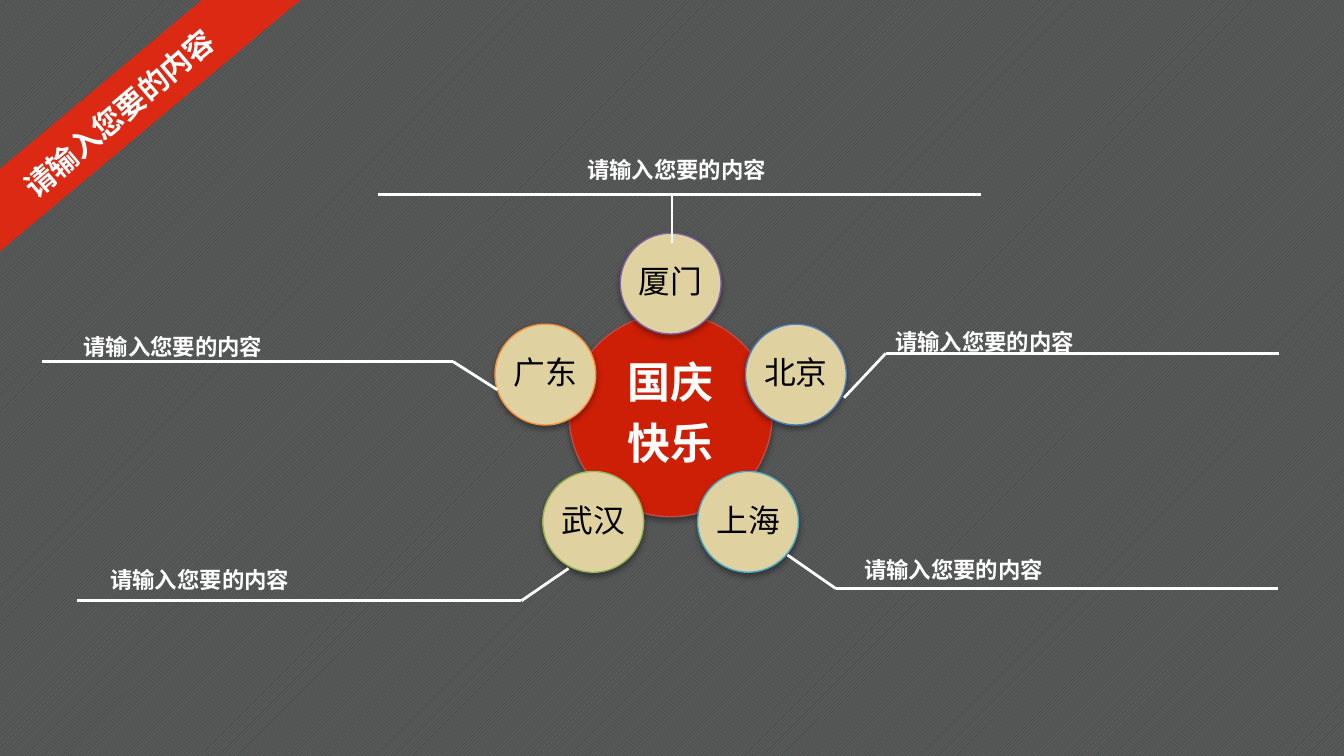
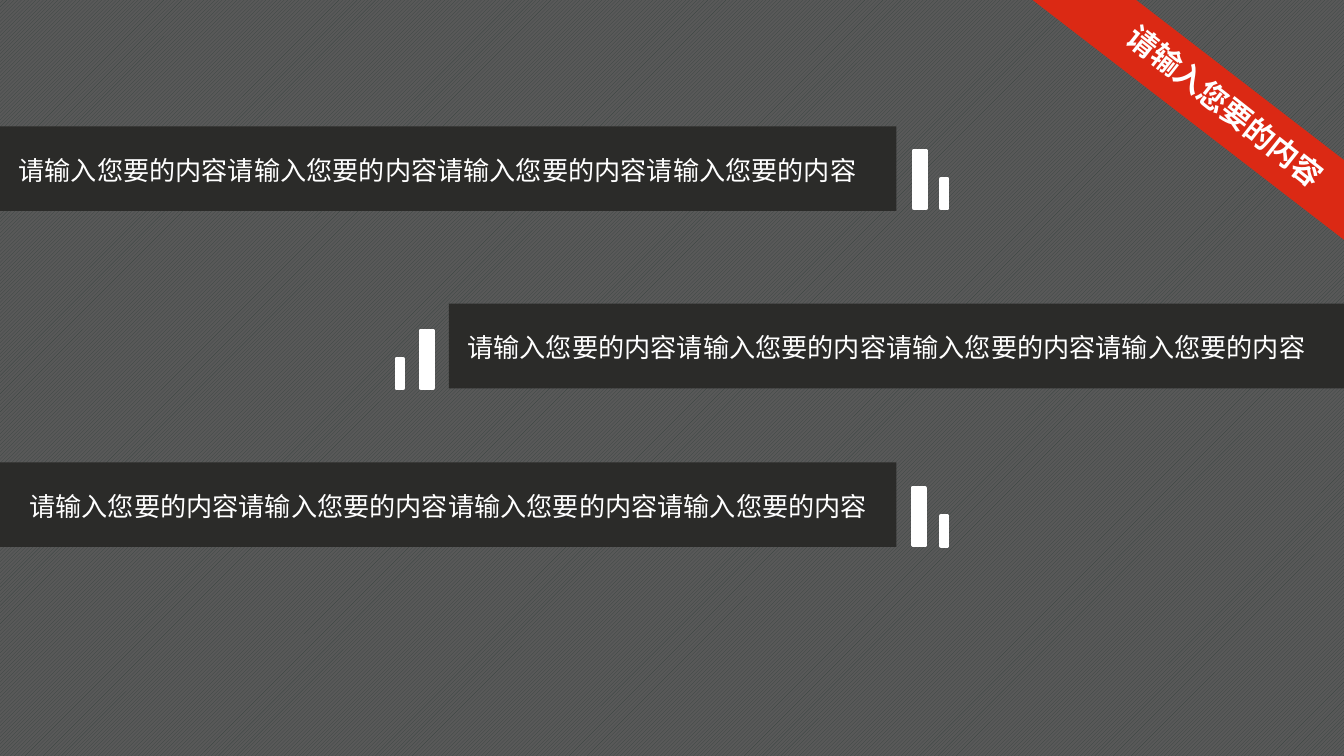
import math

from lxml import etree
from pptx import Presentation
from pptx.dml.color import RGBColor
from pptx.enum.dml import MSO_PATTERN
from pptx.enum.shapes import MSO_CONNECTOR, MSO_SHAPE
from pptx.enum.text import MSO_ANCHOR, MSO_AUTO_SIZE, PP_ALIGN
from pptx.oxml.ns import qn
from pptx.util import Inches, Pt

RECTANGLE, OVAL = MSO_SHAPE.RECTANGLE, MSO_SHAPE.OVAL
STRAIGHT = MSO_CONNECTOR.STRAIGHT
STRIPES = MSO_PATTERN.DARK_UPWARD_DIAGONAL
TOP, MIDDLE = MSO_ANCHOR.TOP, MSO_ANCHOR.MIDDLE
LEFT, CENTER = PP_ALIGN.LEFT, PP_ALIGN.CENTER
GROW = MSO_AUTO_SIZE.SHAPE_TO_FIT_TEXT

SLIDE_WIDTH = Inches(10)
SLIDE_HEIGHT = SLIDE_WIDTH * 9 // 16
FONT = "Noto Sans CJK SC"
COLORS = {
    "stripe": "384340",
    "background": "595959",
    "ribbon": "DB2914",
    "hub": "CD1F06",
    "hub line": "BF4C48",
    "city": "DFD2A0",
    "band": "2B2B29",
    "white": "FFFFFF",
    "black": "000000",
}
PROMPT = "请输入您要的内容"

HUB_CENTER = (4.99, 3.09)
HUB_SIZE, CITY_SIZE, ORBIT = 1.51, 0.75, 0.98
CITIES = [  # clockwise from the top, with outline colours
    ("厦门", "7D60A0"),
    ("北京", "4B7EBC"),
    ("上海", "46AAC5"),
    ("武汉", "98B955"),
    ("广东", "F69240"),
]
LEADERS = [
    [(4.23, 4.23), (3.88, 4.47), (0.57, 4.47)],
    [(2.81, 1.45), (7.3, 1.45)],
    [(6.28, 2.96), (6.59, 2.63), (9.52, 2.63)],
    [(5.86, 4.13), (6.22, 4.38), (9.51, 4.38)],
    [(3.7, 2.9), (3.37, 2.69), (0.31, 2.69)],
    [(5, 1.81), (5, 1.45)],
]
LABELS = [  # left, top, width
    (6.36, 4.04, 3.43),
    (0.55, 2.38, 3.1),
    (6.59, 2.34, 3.14),
    (0.75, 4.11, 3.1),
]

BAND_WIDTH, BAND_HEIGHT = 6.67, 0.63
BAR_SIZES = [(0.09, 0.43), (0.05, 0.22)]
BANDS = [  # left, top, text left, lefts of the bars, bottom of the bars
    (0, 0.94, 0.04, (6.8, 7), 1.55),
    (3.34, 2.26, 3.38, (3.13, 2.95), 2.89),
    (0, 3.44, 0.12, (6.79, 7), 4.06),
]


def rgb(color):
    return RGBColor.from_string(color)


def box(left, top, width, height):
    return [Inches(value) for value in (left, top, width, height)]


def format_text(text_frame, size, color, bold=False, align=LEFT, spacing=None, after=0):
    for paragraph in text_frame.paragraphs:
        paragraph.alignment = align
        paragraph.space_after = Pt(after)
        if spacing:
            paragraph.line_spacing = spacing
        for run in paragraph.runs:
            font = run.font
            font.name, font.size, font.bold = FONT, Pt(size), bold
            font.color.rgb = rgb(color)
            etree.SubElement(font._element, qn("a:ea"), typeface=FONT)


def set_margins(text_frame, horizontal, vertical):
    text_frame.margin_left = text_frame.margin_right = Inches(horizontal)
    text_frame.margin_top = text_frame.margin_bottom = Inches(vertical)


def add_filled(slide, kind, position, fill, line=None, line_width=0.75):
    shape = slide.shapes.add_shape(kind, *box(*position))
    shape.shadow.inherit = False
    shape.fill.solid()
    shape.fill.fore_color.rgb = rgb(fill)
    if line:
        shape.line.color.rgb = rgb(line)
        shape.line.width = Pt(line_width)
    else:
        shape.line.fill.background()
    return shape


def add_soft_shadow(shape):
    effects = shape._element.spPr.find(qn("a:effectLst"))
    shadow = etree.SubElement(effects, qn("a:outerShdw"), blurRad="40000",
                              dist="23000", dir="5400000", rotWithShape="0")
    color = etree.SubElement(shadow, qn("a:srgbClr"), val=COLORS["black"])
    etree.SubElement(color, qn("a:alpha"), val="35000")


def add_circle(slide, center, diameter, text, fill, line, size, color, bold=False):
    x, y = center
    position = (x - diameter / 2, y - diameter / 2, diameter, diameter)
    circle = add_filled(slide, OVAL, position, fill, line)
    add_soft_shadow(circle)
    text_frame = circle.text_frame
    text_frame.text = text
    text_frame.vertical_anchor = MIDDLE
    set_margins(text_frame, 0, 0)
    format_text(text_frame, size, color, bold, CENTER, 0.9, 0.35 * size)


def add_text(slide, position, text, size, bold=False, spacing=None, wrap=True):
    text_frame = slide.shapes.add_textbox(*box(*position)).text_frame
    text_frame.text = text
    text_frame.word_wrap = wrap
    text_frame.auto_size = GROW
    format_text(text_frame, size, COLORS["white"], bold, spacing=spacing)
    return text_frame


def add_leader(slide, points):
    """Join the points with straight white lines."""
    for start, end in zip(points, points[1:]):
        line = slide.shapes.add_connector(
            STRAIGHT, *[Inches(value) for value in start + end])
        line.line.color.rgb = rgb(COLORS["white"])
        line.line.width = Pt(1.5)
        etree.SubElement(line._element.spPr, qn("a:effectLst"))


def add_ribbon_slide(presentation, ribbon_corner, ribbon_angle, title_corner, title_angle):
    """Add a striped slide whose title runs along a slanted corner ribbon."""
    slide = presentation.slides.add_slide(presentation.slide_layouts[5])
    fill = slide.background.fill
    fill.patterned()
    fill.pattern = STRIPES
    fill.fore_color.rgb = rgb(COLORS["stripe"])
    fill.back_color.rgb = rgb(COLORS["background"])

    ribbon = add_filled(slide, RECTANGLE, (*ribbon_corner, 5.42, 0.47), COLORS["ribbon"])
    ribbon.rotation = ribbon_angle

    title = slide.shapes.title
    ribbon._element.addnext(title._element)
    title.left, title.top, title.width, title.height = box(*title_corner, 2.55, 0.37)
    title.rotation = title_angle
    text_frame = title.text_frame
    text_frame.text = PROMPT
    text_frame.word_wrap = True
    text_frame.auto_size = GROW
    text_frame.vertical_anchor = TOP
    format_text(text_frame, 16, COLORS["white"], bold=True)
    return slide


def build_city_slide(presentation):
    slide = add_ribbon_slide(presentation, (-2.09, 0.81), 320.1, (-0.17, 0.47), 319.5)
    add_circle(slide, HUB_CENTER, HUB_SIZE, "国庆\n快乐", COLORS["hub"],
               COLORS["hub line"], 23, COLORS["white"], bold=True)
    for index, (city, outline) in enumerate(CITIES):
        angle = math.tau * index / len(CITIES)
        center = (HUB_CENTER[0] + ORBIT * math.sin(angle),
                  HUB_CENTER[1] - ORBIT * math.cos(angle))
        add_circle(slide, center, CITY_SIZE, city, COLORS["city"], outline,
                   17, COLORS["black"])
    for left, top, width in LABELS:
        text_frame = add_text(slide, (left, top, width, 0.34), PROMPT, 12, True, 1.3)
        set_margins(text_frame, 0.07, 0.04)
    for points in LEADERS:
        add_leader(slide, points)
    add_text(slide, (4.27, 1.05, 1.55, 0.36), PROMPT, 12, True, 1.3, wrap=False)


def add_band(slide, left, top, text_left, bar_lefts, bars_bottom):
    """Add a dark band with its text and two bars at its inner end."""
    add_filled(slide, RECTANGLE, (left, top, BAND_WIDTH, BAND_HEIGHT), COLORS["band"])
    for bar_left, (width, height) in zip(bar_lefts, BAR_SIZES):
        add_filled(slide, RECTANGLE, (bar_left, bars_bottom - height, width, height),
                   COLORS["white"], COLORS["white"], 2)
    add_text(slide, (text_left, top + 0.16, 6.74, 0.94), PROMPT * 4, 14)


def build_band_slide(presentation):
    slide = add_ribbon_slide(presentation, (6.08, 0.32), 217.6, (8.07, 0.78), 38.3)
    for band in BANDS:
        add_band(slide, *band)


def main():
    presentation = Presentation()
    presentation.slide_width = SLIDE_WIDTH
    presentation.slide_height = SLIDE_HEIGHT
    build_city_slide(presentation)
    build_band_slide(presentation)
    presentation.save("out.pptx")


if __name__ == "__main__":
    main()
